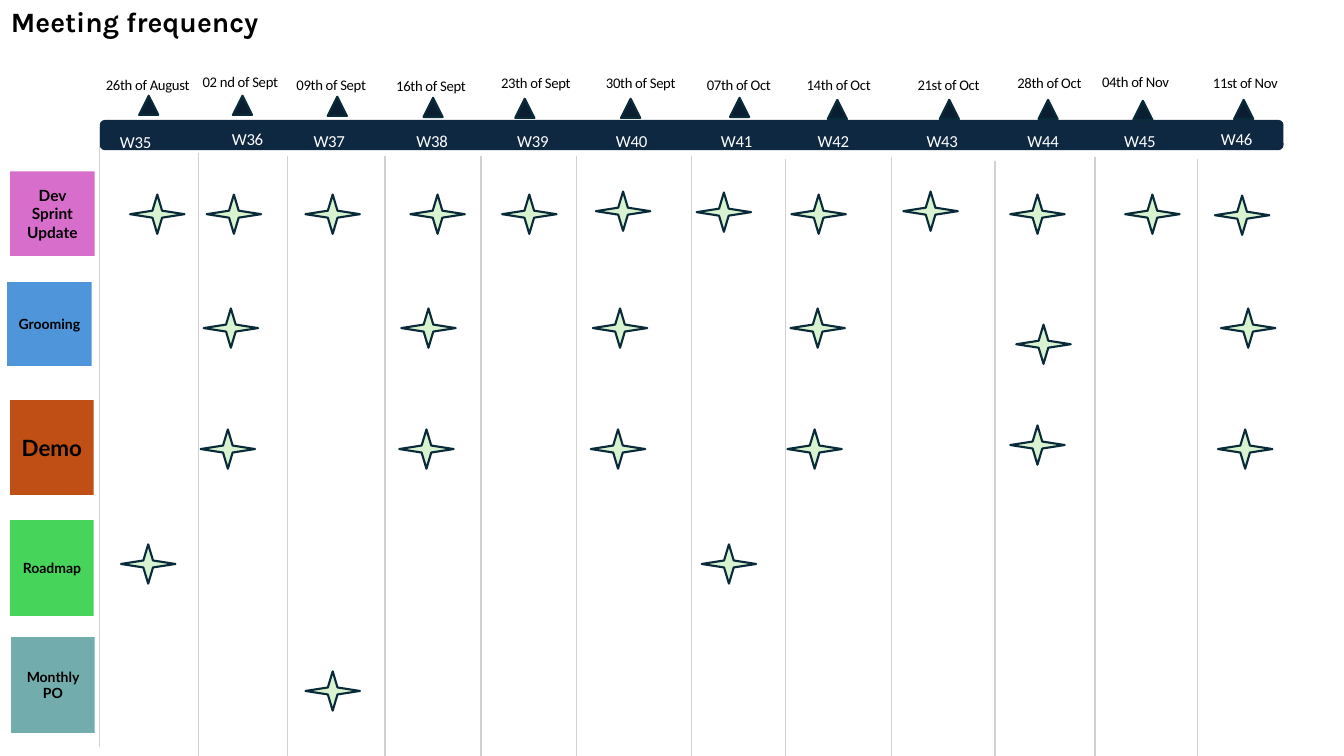
from dataclasses import dataclass

from lxml.etree import SubElement
from pptx import Presentation
from pptx.dml.color import RGBColor
from pptx.enum.shapes import MSO_CONNECTOR, MSO_SHAPE
from pptx.enum.text import MSO_ANCHOR, MSO_AUTO_SIZE, PP_ALIGN
from pptx.oxml.ns import qn
from pptx.util import Inches, Pt


@dataclass(frozen=True)
class Theme:
    bar: str = "0E2841"
    divider: str = "D1D1D1"
    marker: str = "0B1E31"
    star: str = "D9F2D0"
    outline: str = "092A39"
    dark_text: str = "000000"
    light_text: str = "FFFFFF"
    title_font: str = "Karla"
    label_font: str = "Calibri"
    meeting_font: str = "Lato"
    title_size: float = 20
    week_size: float = 12
    date_size: float = 10.5
    small_size: float = 10
    medium_size: float = 11
    large_size: float = 16


THEME = Theme()
FIRST_WEEK = 35
SLIDE_HEIGHT = 7.5
LABEL_HEIGHT = 0.3
DATE_WIDTH, WEEK_WIDTH = 0.95, 0.5
MARKER_SIZE = 0.19
STAR_WIDTH, STAR_HEIGHT = 0.54, 0.39

# Date, date left and middle, marker left and top, week left and middle
WEEKS = [
    ("26th of August", 1.05, 0.84, 1.38, 0.95, 1.19, 1.41),
    ("02 nd of Sept", 2.01, 0.81, 2.31, 0.95, 2.3, 1.38),
    ("09th of Sept", 2.94, 0.84, 3.25, 0.96, 3.11, 1.4),
    ("16th of Sept", 3.93, 0.85, 4.2, 0.97, 4.13, 1.4),
    ("23th of Sept", 4.97, 0.82, 5.11, 0.98, 5.13, 1.4),
    ("30th of Sept", 6.01, 0.82, 6.16, 0.98, 6.11, 1.4),
    ("07th of Oct", 7.01, 0.84, 7.24, 0.97, 7.15, 1.4),
    ("14th of Oct", 8, 0.84, 8.21, 0.99, 8.11, 1.4),
    ("21st of Oct", 9.1, 0.84, 9.32, 0.99, 9.19, 1.4),
    ("28th of Oct", 10.09, 0.82, 10.3, 0.99, 10.19, 1.4),
    ("04th of Nov", 10.93, 0.81, 11.24, 1, 11.15, 1.4),
    ("11st of Nov", 12.03, 0.82, 12.24, 0.99, 12.11, 1.38),
]

# Left, top and bottom
DIVIDERS = [
    (0.99, 1.26, 7.41),
    (1.97, 1.52, SLIDE_HEIGHT),
    (2.85, 1.55, SLIDE_HEIGHT),
    (3.82, 1.55, SLIDE_HEIGHT),
    (4.77, 1.55, SLIDE_HEIGHT),
    (5.72, 1.55, SLIDE_HEIGHT),
    (6.86, 1.55, SLIDE_HEIGHT),
    (7.79, 1.58, SLIDE_HEIGHT),
    (8.84, 1.56, SLIDE_HEIGHT),
    (9.87, 1.6, SLIDE_HEIGHT),
    (10.86, 1.56, SLIDE_HEIGHT),
    (11.88, 1.58, SLIDE_HEIGHT),
]

# Name, box, fill, text size, and the left and top of each star
MEETINGS = [
    ("Dev Sprint Update", (0.1, 1.7, 0.84, 0.84), "D86ECC", THEME.medium_size,
     [(1.29, 1.93), (2.05, 1.93), (3.03, 1.93), (4.07, 1.93), (4.98, 1.93),
      (5.91, 1.9), (6.91, 1.91), (7.85, 1.93), (8.96, 1.9), (10.02, 1.93),
      (11.16, 1.93), (12.05, 1.94)]),
    ("Grooming", (0.07, 2.8, 0.84, 0.83), "4E95D9", THEME.small_size,
     [(2.02, 3.06), (3.98, 3.06), (5.88, 3.06), (7.84, 3.06),
      (10.08, 3.22), (12.11, 3.06)]),
    ("Demo", (0.1, 3.97, 0.83, 0.94), "C04F15", THEME.large_size,
     [(1.99, 4.26), (3.96, 4.26), (5.86, 4.26), (7.81, 4.26),
      (10.02, 4.22), (12.08, 4.26)]),
    ("Roadmap", (0.1, 5.16, 0.83, 0.95), "47D45A", THEME.small_size,
     [(1.2, 5.4), (6.96, 5.4)]),
    ("Monthly PO", (0.11, 6.32, 0.83, 0.95), "72ACAD", THEME.small_size,
     [(3.03, 6.66)]),
]


def rgb(colour):
    return RGBColor.from_string(colour)


def set_font(paragraph, name, size, colour, bold=False):
    font = paragraph.font
    font.name = name
    font.size = Pt(size)
    font.bold = bold
    font.color.rgb = rgb(colour)


def add_figure(slide, preset, box, fill, outline=None):
    shape = slide.shapes.add_shape(preset, *map(Inches, box))
    shape.shadow.inherit = False
    shape.fill.solid()
    shape.fill.fore_color.rgb = rgb(fill)
    if outline:
        shape.line.color.rgb = rgb(outline)
        shape.line.width = Pt(1.5)
    else:
        shape.line.fill.background()
    return shape


def add_divider(slide, left, top, bottom):
    connector = slide.shapes.add_connector(
        MSO_CONNECTOR.STRAIGHT, Inches(left), Inches(top), Inches(left), Inches(bottom))
    connector.line.color.rgb = rgb(THEME.divider)
    connector.line.width = Pt(1)
    SubElement(connector._element.spPr, qn("a:effectLst"))


def add_label(slide, text, left, middle, width, size, colour):
    """Add one unwrapped line of text, centred vertically on middle."""
    box = slide.shapes.add_textbox(
        Inches(left), Inches(middle - LABEL_HEIGHT / 2), Inches(width), Inches(LABEL_HEIGHT))
    frame = box.text_frame
    frame.word_wrap = False
    frame.vertical_anchor = MSO_ANCHOR.MIDDLE
    frame.margin_left = frame.margin_right = frame.margin_top = frame.margin_bottom = 0
    paragraph = frame.paragraphs[0]
    paragraph.text = text
    set_font(paragraph, THEME.label_font, size, colour)
    paragraph._p.get_or_add_pPr().get_or_add_defRPr().set("spc", "-20")


def add_title(slide, text):
    box = slide.shapes.add_textbox(Inches(0.01), 0, Inches(3.17), Inches(0.44))
    frame = box.text_frame
    frame.word_wrap = True
    frame.auto_size = MSO_AUTO_SIZE.SHAPE_TO_FIT_TEXT
    paragraph = frame.paragraphs[0]
    paragraph.text = text
    set_font(paragraph, THEME.title_font, THEME.title_size, THEME.dark_text, bold=True)


def add_week(slide, number, week):
    date, date_left, date_middle, marker_left, marker_top, week_left, week_middle = week
    add_label(slide, date, date_left, date_middle, DATE_WIDTH, THEME.date_size, THEME.dark_text)
    add_figure(slide, MSO_SHAPE.FLOWCHART_EXTRACT,
               (marker_left, marker_top, MARKER_SIZE, MARKER_SIZE), THEME.marker, THEME.outline)
    add_label(slide, f"W{number}", week_left, week_middle, WEEK_WIDTH,
              THEME.week_size, THEME.light_text)


def add_meeting(slide, name, box, fill, size, stars):
    shape = add_figure(slide, MSO_SHAPE.RECTANGLE, box, fill)
    frame = shape.text_frame
    frame.word_wrap = True
    frame.vertical_anchor = MSO_ANCHOR.MIDDLE
    paragraph = frame.paragraphs[0]
    paragraph.text = name
    paragraph.alignment = PP_ALIGN.CENTER
    set_font(paragraph, THEME.meeting_font, size, THEME.dark_text, bold=True)
    for left, top in stars:
        add_figure(slide, MSO_SHAPE.STAR_4_POINT,
                   (left, top, STAR_WIDTH, STAR_HEIGHT), THEME.star, THEME.outline)


def main():
    presentation = Presentation()
    presentation.slide_width = Inches(13.33)
    presentation.slide_height = Inches(SLIDE_HEIGHT)
    slide = presentation.slides.add_slide(presentation.slide_layouts[6])

    add_title(slide, "Meeting frequency")
    add_figure(slide, MSO_SHAPE.ROUNDED_RECTANGLE, (0.99, 1.19, 11.74, 0.3), THEME.bar)
    for divider in DIVIDERS:
        add_divider(slide, *divider)
    for number, week in enumerate(WEEKS, FIRST_WEEK):
        add_week(slide, number, week)
    for meeting in MEETINGS:
        add_meeting(slide, *meeting)
    presentation.save("out.pptx")


if __name__ == "__main__":
    main()
